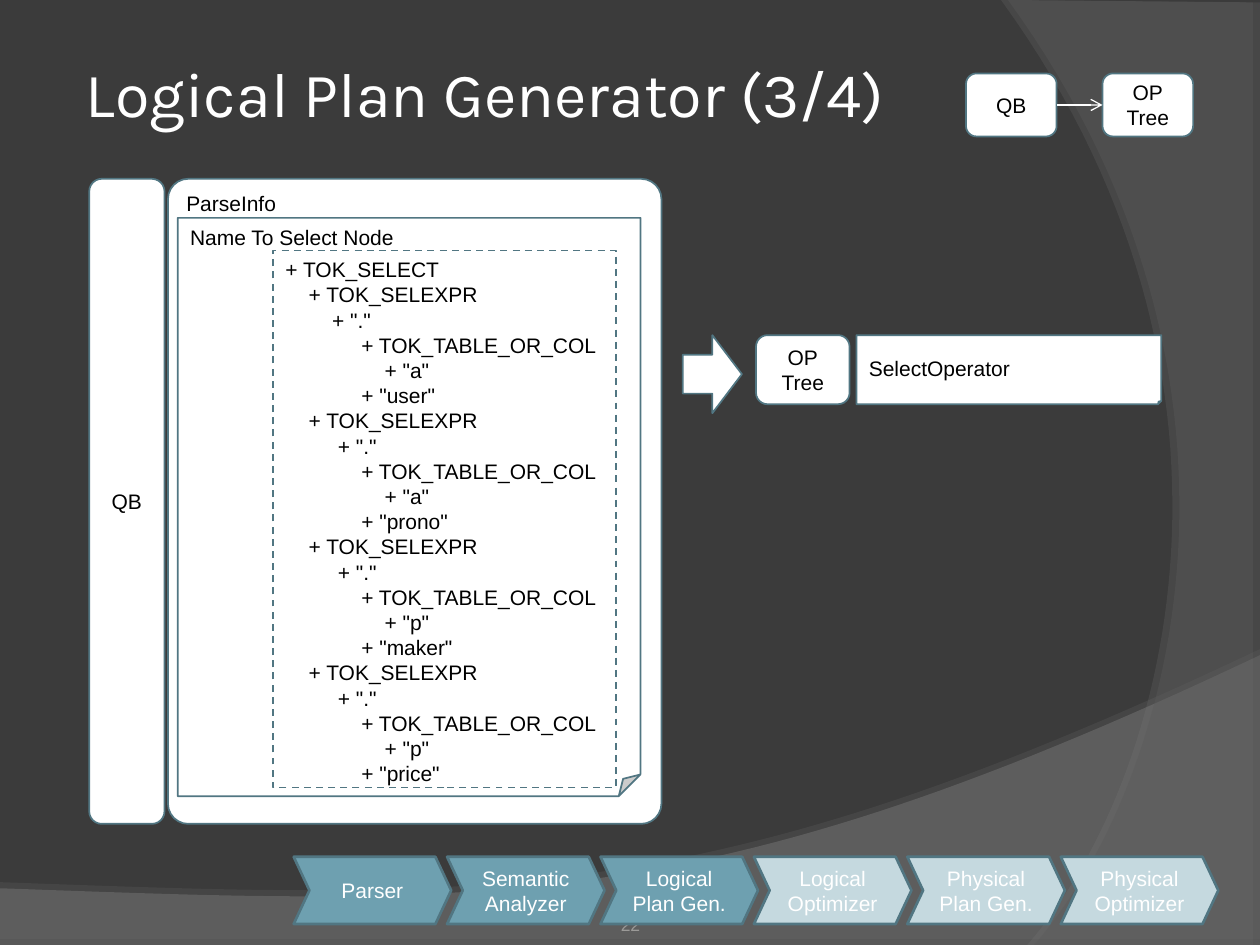
from lxml import etree
from pptx import Presentation
from pptx import util as u
from pptx.dml.color import RGBColor
from pptx.enum import dml, shapes, text
from pptx.oxml.ns import qn

Pt = u.Pt
S = shapes.MSO_SHAPE
A = text.PP_ALIGN
V = text.MSO_ANCHOR
C = {"bg": "3B3B3B", "wave": "7C7C7C", "arc": "595959", "glow": "808080",
     "line": "517682", "done": "6EA0B0", "todo": "C5D9DF",
     "white": "FFFFFF", "black": "000000", "page": "9B9A98"}
rgb = {name: RGBColor.from_string(value) for name, value in C.items()}

prs = Presentation()
prs.slide_width, prs.slide_height = Pt(720), Pt(540)
s = prs.slides.add_slide(prs.slide_layouts[6])
s.background.fill.solid()
s.background.fill.fore_color.rgb = rgb["bg"]


def write(sp, lines, align, anchor, color="black", size=12, font="Arial"):
    """Fill a shape with one paragraph per line, all in one style."""
    tf = sp.text_frame
    tf.word_wrap = True
    tf.vertical_anchor = anchor
    tf.text = lines
    for p in tf.paragraphs:
        p.alignment = align
        if size == 12:
            p.line_spacing = Pt(14.4)
        for r in p.runs:
            r.font.size = Pt(size)
            r.font.name = font
            r.font.color.rgb = rgb[color]


def add_box(kind, box, lines="", align=A.CENTER, anchor=V.MIDDLE,
            fill="white", color="black", width=1, adj=None):
    sp = s.shapes.add_shape(kind, *map(Pt, box))
    sp.shadow.inherit = False
    sp.fill.solid()
    sp.fill.fore_color.rgb = rgb[fill]
    sp.line.color.rgb = rgb["line"]
    sp.line.width = Pt(width)
    if adj is not None:  # python-pptx lists no adjustment for a folded corner
        guides = sp._element.spPr.find(qn("a:prstGeom")).get_or_add_avLst()
        etree.SubElement(guides, qn("a:gd"), name="adj",
                         fmla=f"val {round(adj * 100000)}")
    if lines:
        write(sp, lines, align, anchor, color)
    return sp


# Background sweeps: straight corners, then one cubic curve
# colour, opacity %, corners, curve, glow opacity %, glow distance, glow angle
sweeps = [
    ("wave", 45, [(0, 540), (720, 540)],
     [(720, 374.4), (402.5, 524.9), (281.5, 517.7), (0, 507.6)], 35, 3.5, 270),
    ("arc", 40, [(720, 1.4), (720, 540)],
     [(591, 540), (673.2, 445.7), (733, 216), (576, 0)], 45, 4, 180),
]
STEPS = 60
for color, opacity, corners, curve, glow, distance, angle in sweeps:
    points = list(corners)
    for i in range(STEPS + 1):
        t = i / STEPS
        weights = ((1 - t) ** 3, 3 * t * (1 - t) ** 2, 3 * t * t * (1 - t), t ** 3)
        points.append(tuple(sum(w * c[axis] for w, c in zip(weights, curve))
                            for axis in (0, 1)))
    points = [(Pt(x), Pt(y)) for x, y in points]
    outline = s.shapes.build_freeform(*points[0], scale=1.0)
    outline.add_line_segments(points[1:], close=True)
    sp = outline.convert_to_shape()
    sp.line.fill.background()
    sp.fill.solid()
    sp.fill.fore_color.rgb = rgb[color]
    clr = sp._element.spPr.find(qn("a:solidFill"))[0]
    etree.SubElement(clr, qn("a:alpha"), val=str(opacity * 1000))
    sp.shadow.inherit = False
    shadow = etree.SubElement(sp._element.spPr.find(qn("a:effectLst")),
                              qn("a:outerShdw"), blurRad="0",
                              dist=str(Pt(distance)), dir=str(angle * 60000),
                              algn="ctr", rotWithShape="0")
    clr = etree.SubElement(shadow, qn("a:srgbClr"), val=C["glow"])
    etree.SubElement(clr, qn("a:alpha"), val=str(glow * 1000))

# Page number and title
page = s.shapes.add_textbox(Pt(246.2), Pt(505.4), Pt(228.2), Pt(28.8))
write(page, "22", A.CENTER, V.BOTTOM, "page", 10)
page.text_frame.margin_left = page.text_frame.margin_right = 0
page.text_frame.margin_bottom = 0
title = s.shapes.add_textbox(Pt(45.4), Pt(26), Pt(630), Pt(53.3))
write(title, "Logical Plan Generator (3/4)", A.LEFT, V.MIDDLE, "white", 36, "Karla")
title.text_frame.margin_left = title.text_frame.margin_right = Pt(3.6)

# Resulting operator tree
add_box(S.ROUNDED_RECTANGLE, (432, 191.5, 53.5, 39.5), "OP\nTree")
add_box(S.FOLDED_CORNER, (489.4, 191.5, 174.2, 39.5), "SelectOperator",
        A.LEFT, adj=0.047)
add_box(S.RIGHT_ARROW, (390.2, 191.5, 33.8, 44.6))

# Query block with its nested parse info
add_box(S.ROUNDED_RECTANGLE, (51, 102.2, 43, 368.6), "QB")
add_box(S.ROUNDED_RECTANGLE, (96, 102.2, 282, 368.6), "ParseInfo",
        A.LEFT, V.TOP, adj=0.041)
add_box(S.FOLDED_CORNER, (101.5, 124.5, 264.5, 330.5), "Name To Select Node",
        A.LEFT, V.TOP, adj=0.047)

# Token tree: (indent in points, token)
tree = [(0, "TOK_SELECT")]
columns = [("a", "user"), ("a", "prono"), ("p", "maker"), ("p", "price")]
for i, (table, column) in enumerate(columns):
    tree += [(13.3, "TOK_SELEXPR"), (30 if i else 26.7, '"."'),
             (43.4, "TOK_TABLE_OR_COL"), (56.7, f'"{table}"'),
             (43.4, f'"{column}"')]
sp = add_box(S.RECTANGLE, (156, 143.2, 196, 306.8),
             "\n".join(f"+ {token}" for _, token in tree), A.LEFT, V.TOP)
sp.line.dash_style = dml.MSO_LINE.DASH
for p, (indent, _) in zip(sp.text_frame.paragraphs, tree):
    p._p.get_or_add_pPr().set("marL", str(Pt(indent)))

# Compiler stages, finished ones darker
stages = ["Parser", "Semantic\nAnalyzer", "Logical\nPlan Gen.",
          "Logical\nOptimizer", "Physical\nPlan Gen.", "Physical\nOptimizer"]
for i, stage in enumerate(stages):
    add_box(S.CHEVRON, (167.8 + 87.67 * i, 489.6, 90, 38.4), stage,
            fill="done" if i < 3 else "todo", color="white", width=1.5, adj=0.234)

# Step overview in the top right corner
source = add_box(S.ROUNDED_RECTANGLE, (552, 42, 51.8, 36), "QB")
target = add_box(S.ROUNDED_RECTANGLE, (630, 42, 51.8, 36), "OP\nTree")
link = s.shapes.add_connector(shapes.MSO_CONNECTOR.STRAIGHT, 0, 0, 0, 0)
link.begin_connect(source, 3)
link.end_connect(target, 1)
link.line.color.rgb = rgb["white"]
link.line.width = Pt(0.75)
etree.SubElement(link.line._get_or_add_ln(), qn("a:tailEnd"), type="arrow")
etree.SubElement(link._element.spPr, qn("a:effectLst"))

prs.save("out.pptx")
